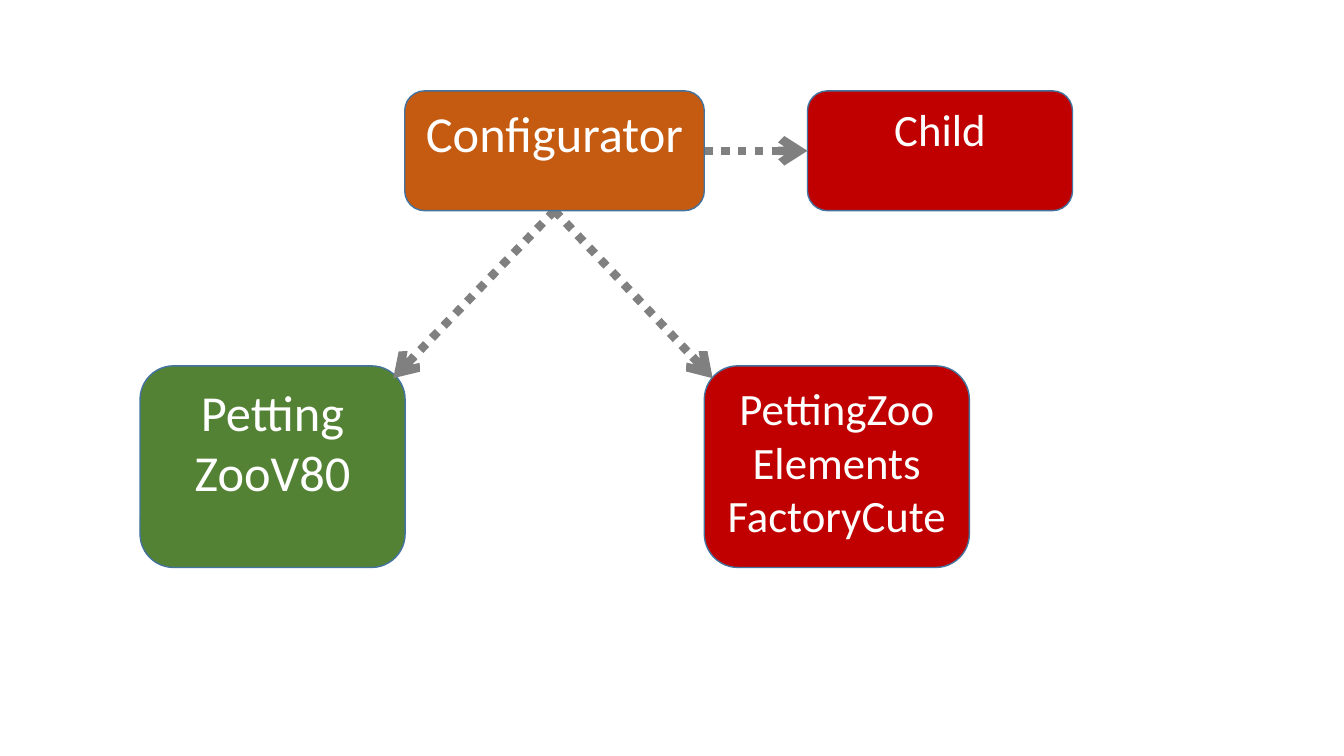
"""Draws the Configurator dependency diagram on one slide."""
from lxml.etree import SubElement
from pptx import Presentation
from pptx.dml.color import RGBColor
from pptx.enum.dml import MSO_LINE
from pptx.enum.shapes import MSO_CONNECTOR, MSO_SHAPE
from pptx.enum.text import MSO_ANCHOR, PP_ALIGN
from pptx.oxml.ns import qn
from pptx.util import Cm, Pt

COLORS = {
    "green": "548235",
    "red": "C00000",
    "orange": "C55A11",
    "outline": "43739E",
    "arrow": "808080",
    "text": "FFFFFF",
}


def color(name):
    return RGBColor.from_string(COLORS[name])


def write_text(text_frame, text, size, font="Calibri", fill="text", align=PP_ALIGN.CENTER):
    text_frame.word_wrap = True
    text_frame.vertical_anchor = MSO_ANCHOR.TOP
    for index, line in enumerate(text.split("\n")):
        paragraph = text_frame.add_paragraph() if index else text_frame.paragraphs[0]
        paragraph.alignment = align
        run = paragraph.add_run()
        run.text = line
        run.font.name = font
        run.font.size = Pt(size)
        run.font.color.rgb = color(fill)


class Diagram:
    outline_width = Pt(1)
    arrow_width = Pt(6)

    def __init__(self, slide):
        self.slide = slide

    def box(self, text, left, top, width, height, fill, size):
        shape = self.slide.shapes.add_shape(
            MSO_SHAPE.ROUNDED_RECTANGLE, Cm(left), Cm(top), Cm(width), Cm(height))
        shape.shadow.inherit = False
        shape.fill.solid()
        shape.fill.fore_color.rgb = color(fill)
        shape.line.color.rgb = color("outline")
        shape.line.width = self.outline_width
        write_text(shape.text_frame, text, size)
        return shape

    def arrow(self, start, end):
        connector = self.slide.shapes.add_connector(
            MSO_CONNECTOR.STRAIGHT, *map(Cm, start + end))
        connector.line.color.rgb = color("arrow")
        connector.line.width = self.arrow_width
        connector.line.dash_style = MSO_LINE.ROUND_DOT
        properties = connector.element.spPr
        SubElement(properties.find(qn("a:ln")), qn("a:tailEnd"), type="arrow")
        SubElement(properties, qn("a:effectLst"))
        return connector


def main():
    presentation = Presentation()
    presentation.slide_width = Cm(33.87)
    presentation.slide_height = Cm(19.05)
    diagram = Diagram(presentation.slides.add_slide(presentation.slide_layouts[6]))

    upper_top, upper_height = 2.29, 3.02
    lower_top, lower_height = 9.22, 5.08
    configurator_left, configurator_width = 10.2, 7.55
    configurator_right = configurator_left + configurator_width
    child_left, box_width = 20.35, 6.68
    upper_middle = upper_top + upper_height / 2
    source = (configurator_left + configurator_width / 2, upper_top + upper_height)

    diagram.box("Petting\nZooV80", 3.53, lower_top, box_width, lower_height, "green", 36)
    diagram.box("PettingZoo\nElements\nFactoryCute", configurator_right, lower_top,
                box_width, lower_height, "red", 32)
    down_arrows = [diagram.arrow(source, (x, 9.53)) for x in (9.91, 17.96)]
    child = diagram.box("Child", child_left, upper_top, box_width, upper_height, "red", 32)
    child_arrow = diagram.arrow((configurator_right, upper_middle), (child_left, upper_middle))
    configurator = diagram.box("Configurator", configurator_left, upper_top,
                               configurator_width, upper_height, "orange", 36)

    for arrow in down_arrows:
        arrow.begin_connect(configurator, 2)
    child_arrow.begin_connect(configurator, 3)
    child_arrow.end_connect(child, 1)

    presentation.save("out.pptx")


if __name__ == "__main__":
    main()
